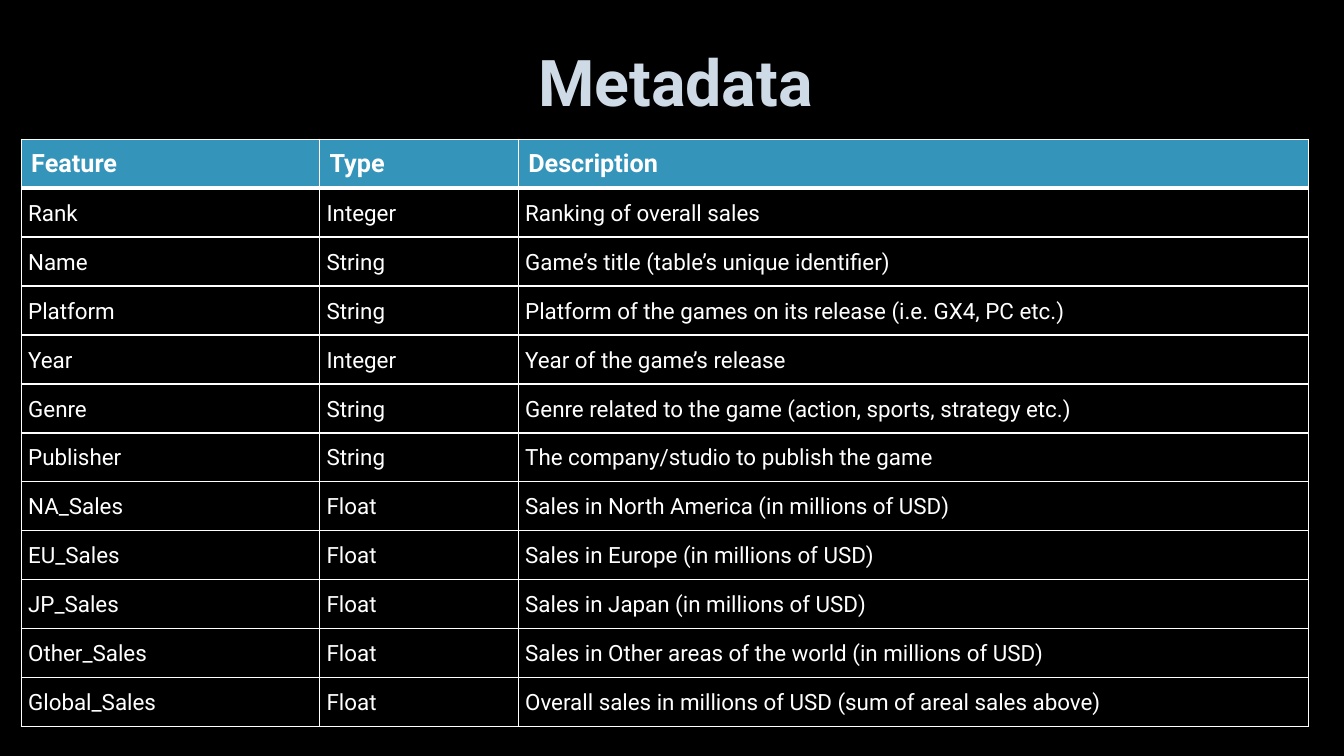
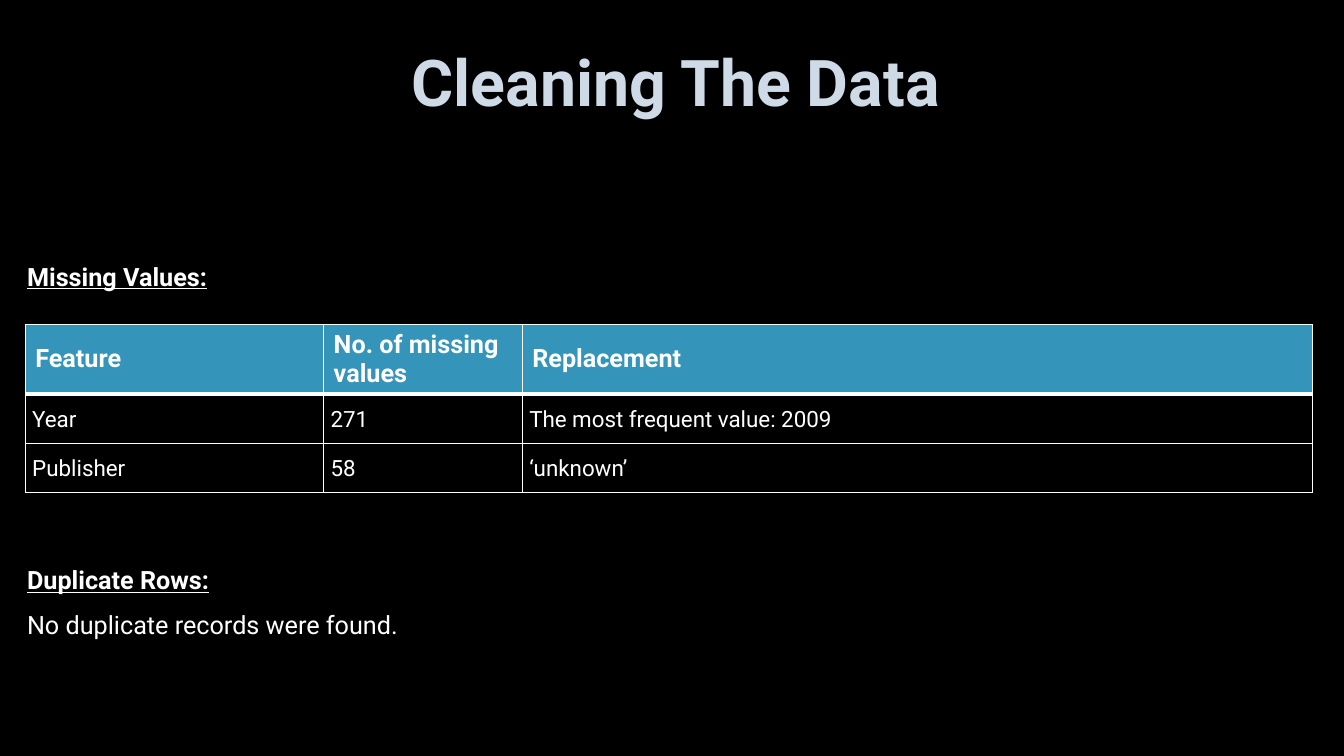
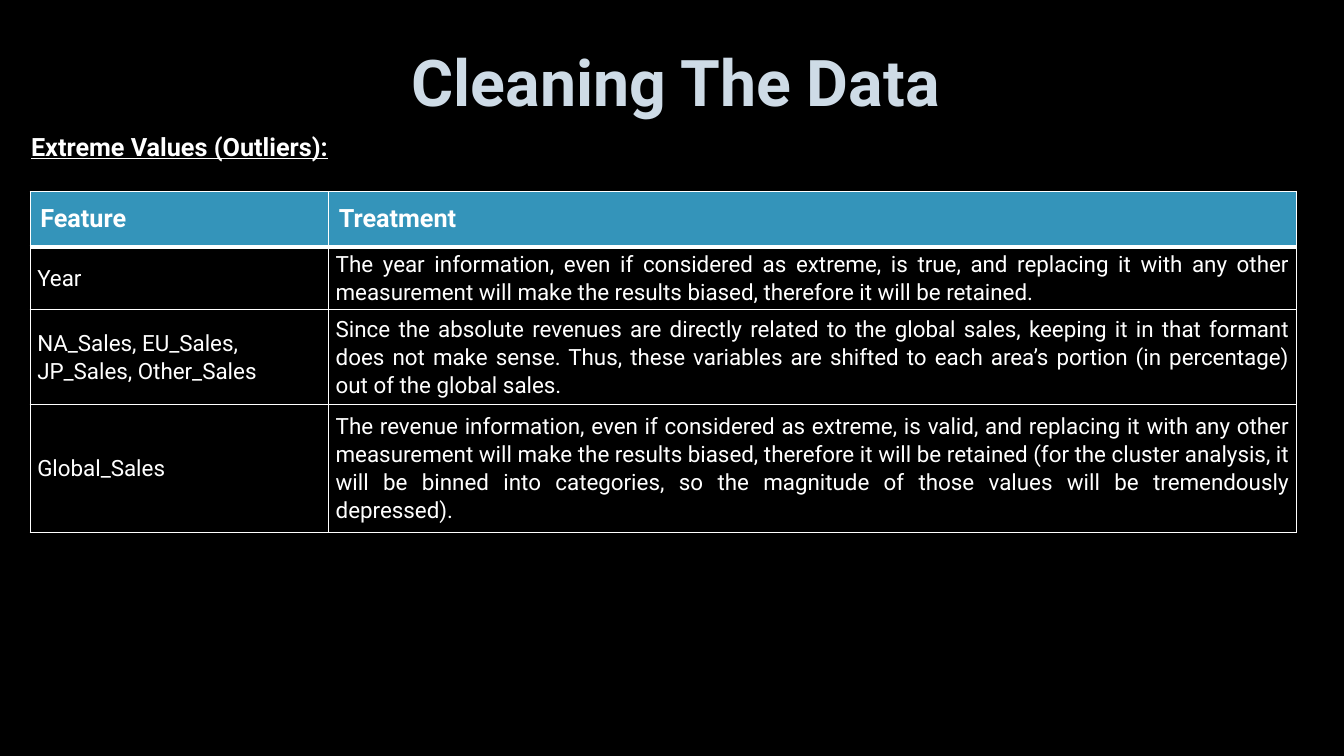
import pptx
import pptx.util
import pptx.dml.color
import pptx.enum.text
import pptx.oxml
import pptx.oxml.ns
from dataclasses import dataclass

PX = 9144  # EMU per px, 100 px to the inch
ALIGN = pptx.enum.text.PP_ALIGN
ANCHOR = pptx.enum.text.MSO_ANCHOR
AUTO_SIZE = pptx.enum.text.MSO_AUTO_SIZE
TITLE_ONLY = 5


@dataclass(frozen=True)
class Theme:
    font: str = "Roboto"
    background: str = "000000"
    title: str = "CEDBE6"
    title_outline: str = "404040"
    text: str = "FFFFFF"
    header: str = "3494BA"
    title_size: int = 46
    heading_size: int = 18
    body_size: int = 16
    thin_border: int = 1
    thick_border: int = 3


THEME = Theme()
SLIDE_SIZE = (1333, 750)
TITLE_BOX = (104, 16, 1132, 138)
THREE_COLUMNS = (296, 197, 784)

SLIDES = [
    {
        "title": "Metadata",
        "table": {
            "at": (21, 138),
            "columns": THREE_COLUMNS,
            "heights": [583 / 12] * 12,
            "rows": [
                ("Feature", "Type", "Description"),
                ("Rank", "Integer", "Ranking of overall sales"),
                ("Name", "String", "Game’s title (table’s unique identifier)"),
                ("Platform", "String", "Platform of the games on its release (i.e. GX4, PC etc.)"),
                ("Year", "Integer", "Year of the game’s release"),
                ("Genre", "String", "Genre related to the game (action, sports, strategy etc.)"),
                ("Publisher", "String", "The company/studio to publish the game"),
                ("NA_Sales", "Float", "Sales in North America (in millions of USD)"),
                ("EU_Sales", "Float", "Sales in Europe (in millions of USD)"),
                ("JP_Sales", "Float", "Sales in Japan (in millions of USD)"),
                ("Other_Sales", "Float", "Sales in Other areas of the world (in millions of USD)"),
                ("Global_Sales", "Float", "Overall sales in millions of USD (sum of areal sales above)"),
            ],
        },
        "notes": [],
    },
    {
        "title": "Cleaning The Data",
        "table": {
            "at": (25, 322),
            "columns": THREE_COLUMNS,
            "heights": [69, 49, 49],
            "rows": [
                ("Feature", "No. of missing values", "Replacement"),
                ("Year", "271", "The most frequent value: 2009"),
                ("Publisher", "58", "‘unknown’"),
            ],
        },
        "notes": [
            {"box": (17, 254, 204, 40), "spacing": None, "lines": ["Missing Values:"]},
            {
                "box": (17, 540, 390, 95),
                "spacing": 1.5,
                "lines": ["Duplicate Rows:", "No duplicate records were found."],
            },
        ],
    },
    {
        "title": "Cleaning The Data",
        "table": {
            "at": (30, 190),
            "columns": (296, 960),
            "heights": [55, 62, 94, 127],
            "rows": [
                ("Feature", "Treatment"),
                (
                    "Year",
                    "The year information, even if considered as extreme, is true, and replacing it "
                    "with any other measurement will make the results biased, therefore it will be "
                    "retained.",
                ),
                (
                    "NA_Sales, EU_Sales, JP_Sales, Other_Sales",
                    "Since the absolute revenues are directly related to the global sales, keeping it "
                    "in that formant does not make sense. Thus, these variables are shifted to each "
                    "area’s portion (in percentage) out of the global sales.",
                ),
                (
                    "Global_Sales",
                    "The revenue information, even if considered as extreme, is valid, and replacing "
                    "it with any other measurement will make the results biased, therefore it will be "
                    "retained (for the cluster analysis, it will be binned into categories, so the "
                    "magnitude of those values will be tremendously depressed).",
                ),
            ],
        },
        "notes": [
            {"box": (21, 125, 330, 40), "spacing": None, "lines": ["Extreme Values (Outliers):"]},
        ],
    },
]


def emu(*lengths):
    return [pptx.util.Emu(round(length * PX)) for length in lengths]


def color(value):
    return pptx.dml.color.RGBColor.from_string(value)


def add_run(paragraph, text, size, fill=THEME.text, bold=False, underline=False):
    run = paragraph.add_run()
    run.text = text
    run.font.name = THEME.font
    run.font.size = pptx.util.Pt(size)
    run.font.bold = bold
    run.font.underline = underline
    run.font.color.rgb = color(fill)
    return run


def line_element(tag, points, fill, alpha=100):
    """Build an a:ln-like element; alpha is the opacity in percent."""
    return pptx.oxml.parse_xml(
        f'<a:{tag} {pptx.oxml.ns.nsdecls("a")} w="{round(points * 12700)}">'
        f'<a:solidFill><a:srgbClr val="{fill}"><a:alpha val="{alpha * 1000}"/></a:srgbClr>'
        f'</a:solidFill><a:prstDash val="solid"/></a:{tag}>'
    )


def set_title(slide, text):
    title = slide.shapes.title
    title.left, title.top, title.width, title.height = emu(*TITLE_BOX)
    frame = title.text_frame
    frame.word_wrap = True
    frame.auto_size = AUTO_SIZE.NONE
    frame.vertical_anchor = ANCHOR.MIDDLE
    paragraph = frame.paragraphs[0]
    paragraph.alignment = ALIGN.CENTER
    paragraph.line_spacing = 0.9
    run = add_run(paragraph, text, THEME.title_size, THEME.title, bold=True)
    run.font._element.insert(0, line_element("ln", 0.75, THEME.title_outline, alpha=10))


def fill_cell(cell, text, row_index, column_index):
    is_header = row_index == 0
    top = THEME.thick_border if row_index == 1 else THEME.thin_border
    bottom = THEME.thick_border if is_header else THEME.thin_border
    borders = {"lnL": THEME.thin_border, "lnR": THEME.thin_border, "lnT": top, "lnB": bottom}
    properties = cell._tc.get_or_add_tcPr()
    for tag, points in borders.items():
        properties.append(line_element(tag, points, THEME.text))
    cell.fill.solid()
    cell.fill.fore_color.rgb = color(THEME.header if is_header else THEME.background)
    cell.vertical_anchor = ANCHOR.MIDDLE

    paragraph = cell.text_frame.paragraphs[0]
    if is_header:
        add_run(paragraph, text, THEME.heading_size, bold=True)
        return
    cell.margin_left, cell.margin_top, cell.margin_right, cell.margin_bottom = emu(7, 0, 7, 0)
    paragraph.alignment = ALIGN.JUSTIFY if column_index else ALIGN.LEFT
    paragraph.line_spacing = 1.07
    add_run(paragraph, text, THEME.body_size)


def add_feature_table(slide, at, columns, heights, rows):
    frame = slide.shapes.add_table(
        len(rows), len(columns), *emu(*at, sum(columns), sum(heights))
    )
    table = frame.table
    table.horz_banding = False
    for column, width in zip(table.columns, emu(*columns)):
        column.width = width
    for row, height in zip(table.rows, emu(*heights)):
        row.height = height
    for row_index, texts in enumerate(rows):
        for column_index, text in enumerate(texts):
            fill_cell(table.cell(row_index, column_index), text, row_index, column_index)


def add_note(slide, box, spacing, lines):
    """Add a text box whose first line is an underlined heading."""
    frame = slide.shapes.add_textbox(*emu(*box)).text_frame
    frame.word_wrap = False
    frame.auto_size = AUTO_SIZE.SHAPE_TO_FIT_TEXT
    for index, text in enumerate(lines):
        paragraph = frame.add_paragraph() if index else frame.paragraphs[0]
        paragraph.line_spacing = spacing
        is_heading = index == 0
        add_run(paragraph, text, THEME.heading_size, bold=is_heading, underline=is_heading)


def main():
    presentation = pptx.Presentation()
    presentation.slide_width, presentation.slide_height = emu(*SLIDE_SIZE)
    background = presentation.slide_master.background.fill
    background.solid()
    background.fore_color.rgb = color(THEME.background)
    for content in SLIDES:
        slide = presentation.slides.add_slide(presentation.slide_layouts[TITLE_ONLY])
        set_title(slide, content["title"])
        add_feature_table(slide, **content["table"])
        for note in content["notes"]:
            add_note(slide, **note)
    presentation.save("out.pptx")


if __name__ == "__main__":
    main()
